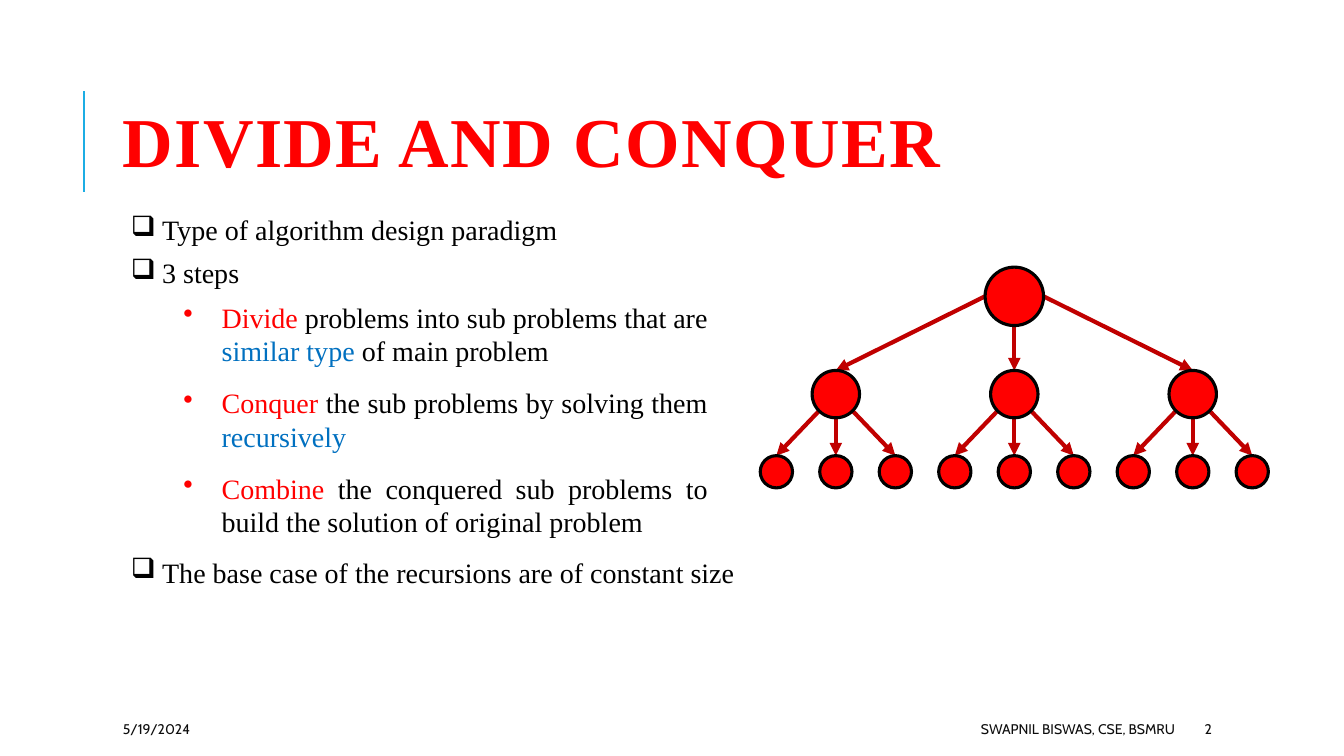
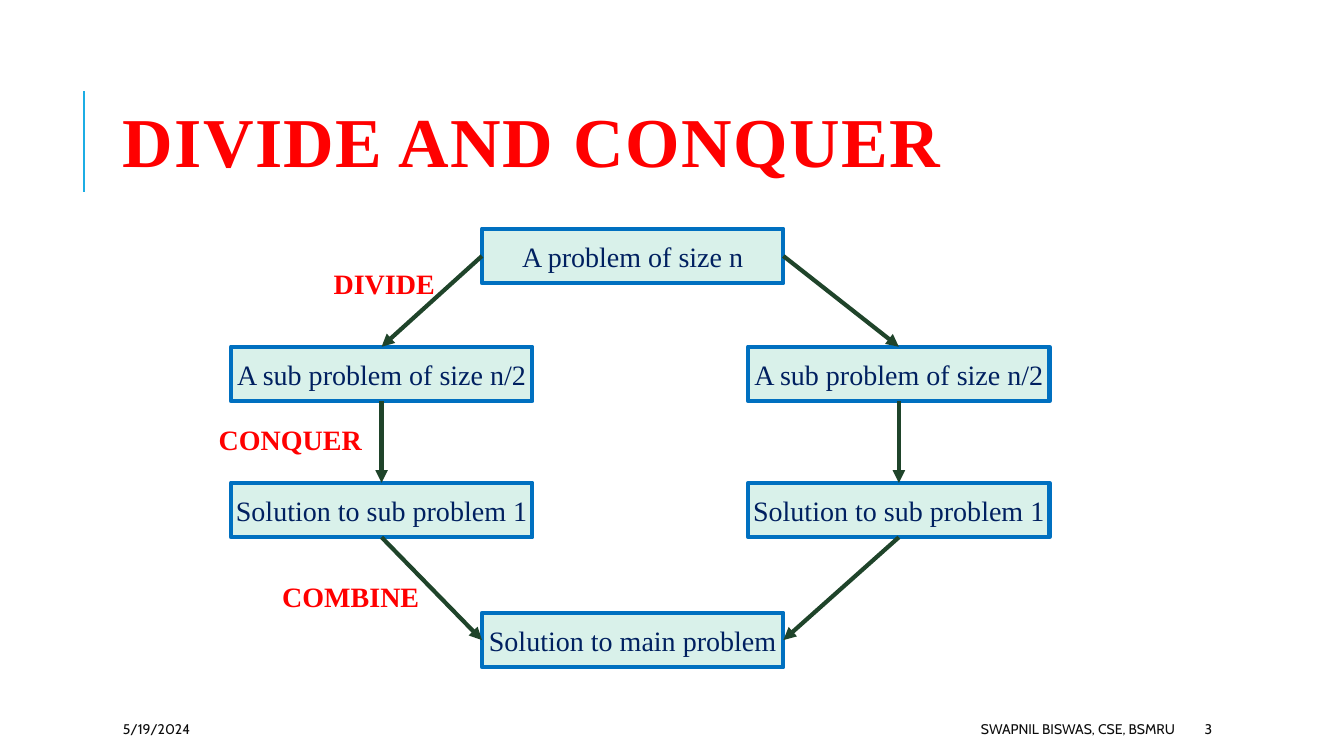
from math import cos, radians, sin

from lxml import etree
from pptx import Presentation
from pptx.dml.color import RGBColor
from pptx.enum.shapes import MSO_CONNECTOR, MSO_SHAPE
from pptx.enum.text import MSO_ANCHOR, PP_ALIGN
from pptx.oxml.ns import qn
from pptx.util import Inches, Pt

STRAIGHT = MSO_CONNECTOR.STRAIGHT
OVAL, RECTANGLE = MSO_SHAPE.OVAL, MSO_SHAPE.RECTANGLE
TOP, MIDDLE = MSO_ANCHOR.TOP, MSO_ANCHOR.MIDDLE
LEFT, CENTER, RIGHT = PP_ALIGN.LEFT, PP_ALIGN.CENTER, PP_ALIGN.RIGHT
JUSTIFY = PP_ALIGN.JUSTIFY
SITE_TOP, SITE_LEFT, SITE_BOTTOM, SITE_RIGHT = range(4)

COLORS = {
    "red": "FF0000", "dark_red": "C00000", "blue": "0070C0", "navy": "002060",
    "black": "000000", "footer": "0D0D0D", "accent": "1CADE4",
    "mint": "D9F1EA", "green": "1F442A",
}
SERIF = "Times New Roman"
STYLES = {
    "title": {"name": SERIF, "size": Pt(50), "bold": True},
    "body": {"name": SERIF, "size": Pt(20)},
    "label": {"name": SERIF, "size": Pt(20), "bold": True},
    "footer": {"name": "Cabin", "size": Pt(10)},
}

# Shared content
TITLE = "DIVIDE AND CONQUER"
FIRST_NUMBER = 2
FOOTER_TOP, FOOTER_HEIGHT = 7.08, 0.3
FOOTERS = [  # left, width, alignment, text
    (1.12, 2.36, LEFT, "5/19/2024"),
    (5.3, 6.45, RIGHT, "SWAPNIL BISWAS, CSE, BSMRU"),
    (11.85, 1.06, LEFT, "{number}"),
]

# Paradigm slide: each paragraph is a list of (text, colour) runs
LISTS = [
    {"at": (1.2, 2.06, 5.4, 0.87), "bullet": "❑", "indent": 0.31, "gap": 7,
     "align": LEFT, "items": [
         [("Type of algorithm design paradigm", "black")],
         [("3 steps", "black")]]},
    {"at": (1.72, 2.93, 5.4, 2.46), "bullet": "•", "indent": 0.38, "gap": 13,
     "align": JUSTIFY, "items": [
         [("Divide", "red"), (" problems into sub problems that are ", "black"),
          ("similar type", "blue"), (" of main problem", "black")],
         [("Conquer", "red"), (" the sub problems by solving them ", "black"),
          ("recursively", "blue")],
         [("Combine", "red"),
          (" the conquered sub problems to build the solution of original problem",
           "black")]]},
    {"at": (1.2, 5.46, 6.23, 0.44), "bullet": "❑", "indent": 0.31, "gap": 0,
     "align": LEFT, "items": [
         [("The base case of the recursions are of constant size", "black")]]},
]
TREE_CENTER = 10.06
LEAF_PITCH = 0.59
BRANCHES = (-1, 0, 1)
TREE_LEVELS = [  # centre height, diameter, gap between siblings, exit angles
    (2.94, 0.58, 0, (180, 90, 0)),
    (3.91, 0.47, 3 * LEAF_PITCH, (135, 90, 45)),
    (4.68, 0.32, LEAF_PITCH, ()),
]

# Flow slide
BOX_WIDTH, BOX_HEIGHT = 2.99, 0.54
COLUMNS = {"left": 2.29, "middle": 4.78, "right": 7.42}
ROWS = (2.27, 3.44, 4.79, 6.08)
BOXES = {  # key: column, row, text
    "problem": ("middle", 0, "A problem of size n"),
    "sub_left": ("left", 1, "A sub problem of size n/2"),
    "sub_right": ("right", 1, "A sub problem of size n/2"),
    "solved_left": ("left", 2, "Solution to sub problem 1"),
    "solved_right": ("right", 2, "Solution to sub problem 1"),
    "solution": ("middle", 3, "Solution to main problem"),
}
ARROWS = [
    ("problem", SITE_LEFT, "sub_left", SITE_TOP),
    ("problem", SITE_RIGHT, "sub_right", SITE_TOP),
    ("sub_left", SITE_BOTTOM, "solved_left", SITE_TOP),
    ("sub_right", SITE_BOTTOM, "solved_right", SITE_TOP),
    ("solved_left", SITE_BOTTOM, "solution", SITE_LEFT),
    ("solved_right", SITE_BOTTOM, "solution", SITE_RIGHT),
]
STEP_LABELS = [(3.21, 2.59, "DIVIDE"), (2.07, 4.14, "CONQUER"), (2.7, 5.7, "COMBINE")]


def color(name):
    return RGBColor.from_string(COLORS[name])


def add_run(paragraph, text, style, color_name):
    run = paragraph.add_run()
    run.text = text
    for attribute, value in STYLES[style].items():
        setattr(run.font, attribute, value)
    run.font.color.rgb = color(color_name)
    return run


def add_frame(slide, at, anchor=TOP):
    frame = slide.shapes.add_textbox(*map(Inches, at)).text_frame
    frame.word_wrap = True
    frame.vertical_anchor = anchor
    return frame


def add_text(slide, at, text, style, color_name, anchor=MIDDLE, align=LEFT):
    paragraph = add_frame(slide, at, anchor).paragraphs[0]
    paragraph.alignment = align
    return paragraph, add_run(paragraph, text, style, color_name)


def add_bullet(paragraph, character, indent):
    properties = paragraph._p.get_or_add_pPr()
    properties.set("marL", str(Inches(indent)))
    properties.set("indent", str(-Inches(indent)))
    etree.SubElement(properties, qn("a:buChar")).set("char", character)


def add_list(slide, block):
    frame = add_frame(slide, block["at"])
    for index, runs in enumerate(block["items"]):
        paragraph = frame.add_paragraph() if index else frame.paragraphs[0]
        add_bullet(paragraph, block["bullet"], block["indent"])
        paragraph.alignment = block["align"]
        paragraph.line_spacing = Pt(24)
        if index:
            paragraph.space_before = Pt(block["gap"])
        for text, color_name in runs:
            add_run(paragraph, text, "body", color_name)


def add_line(slide, start, end, color_name, width, arrow=True):
    connector = slide.shapes.add_connector(STRAIGHT, *map(Inches, (*start, *end)))
    connector.line.color.rgb = color(color_name)
    connector.line.width = Pt(width)
    if arrow:
        head = etree.SubElement(connector.line._get_or_add_ln(), qn("a:tailEnd"))
        head.set("type", "triangle")
    etree.SubElement(connector._element.spPr, qn("a:effectLst"))
    return connector


def add_figure(slide, kind, at, fill, line, width):
    shape = slide.shapes.add_shape(kind, *map(Inches, at))
    shape.shadow.inherit = False
    shape.fill.solid()
    shape.fill.fore_color.rgb = color(fill)
    shape.line.color.rgb = color(line)
    shape.line.width = Pt(width)
    return shape


def add_base_slide(presentation):
    slide = presentation.slides.add_slide(presentation.slide_layouts[6])
    add_line(slide, (0.83, 1.9), (0.83, 0.9), "accent", 1.5, arrow=False)
    paragraph, run = add_text(slide, (1.12, 0.64, 10.63, 1.64), TITLE, "title", "red")
    paragraph.line_spacing = 0.8
    run._r.get_or_add_rPr().set("spc", "100")
    number = FIRST_NUMBER + len(presentation.slides) - 1
    for left, width, align, text in FOOTERS:
        add_text(slide, (left, FOOTER_TOP, width, FOOTER_HEIGHT),
                 text.format(number=number), "footer", "footer", align=align)
    return slide


def add_tree(slide, center, level=0):
    middle, diameter, _, angles = TREE_LEVELS[level]
    radius = diameter / 2
    for branch, angle in zip(BRANCHES, angles):
        child_middle, child_diameter, gap, _ = TREE_LEVELS[level + 1]
        child_center = center + branch * gap
        start = (center + radius * cos(radians(angle)),
                 middle + radius * sin(radians(angle)))
        add_line(slide, start, (child_center, child_middle - child_diameter / 2),
                 "dark_red", 3)
        add_tree(slide, child_center, level + 1)
    add_figure(slide, OVAL, (center - radius, middle - radius, diameter, diameter),
               "red", "black", 2.25)


def add_flow(slide):
    boxes = {}
    for key, (column, row, text) in BOXES.items():
        at = (COLUMNS[column], ROWS[row], BOX_WIDTH, BOX_HEIGHT)
        box = boxes[key] = add_figure(slide, RECTANGLE, at, "mint", "blue", 3)
        frame = box.text_frame
        frame.margin_left = frame.margin_right = 0
        frame.vertical_anchor = MIDDLE
        paragraph = frame.paragraphs[0]
        paragraph.alignment = CENTER
        add_run(paragraph, text, "body", "navy")
    for source, source_site, target, target_site in ARROWS:
        connector = add_line(slide, (0, 0), (1, 1), "green", 3)
        connector.begin_connect(boxes[source], source_site)
        connector.end_connect(boxes[target], target_site)
    for left, top, text in STEP_LABELS:
        add_text(slide, (left, top, 1.7, 0.44), text, "label", "red", TOP)


def main():
    presentation = Presentation()
    presentation.slide_width = Inches(13.33)
    presentation.slide_height = Inches(7.5)

    paradigm_slide = add_base_slide(presentation)
    for block in LISTS:
        add_list(paradigm_slide, block)
    add_tree(paradigm_slide, TREE_CENTER)

    add_flow(add_base_slide(presentation))
    presentation.save("out.pptx")


if __name__ == "__main__":
    main()
